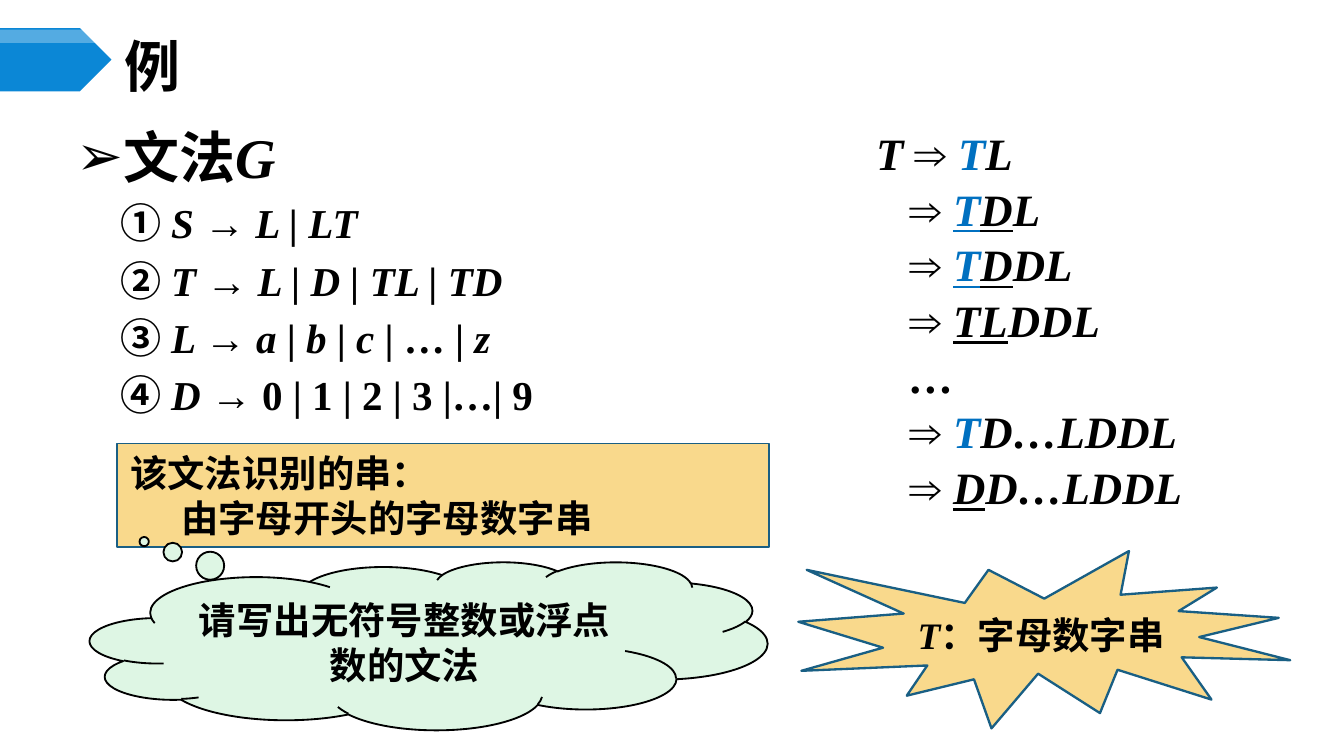
from lxml.etree import SubElement
from pptx import Presentation
from pptx.dml.color import RGBColor
from pptx.enum.shapes import MSO_SHAPE
from pptx.enum.text import MSO_ANCHOR, PP_ALIGN
from pptx.oxml.ns import qn
from pptx.util import Inches, Pt

THEME = {
    "latin": "Times New Roman", "cjk": "Noto Sans CJK SC", "sans": "Arial",
    "ink": "000000", "accent": "0070C0", "white": "FFFFFF",
    "sand": "F9D98C", "mint": "DEF6E4", "arrow": "0B87D6",
    "note_line": "1A5F84", "burst_line": "195F84",
    "heading": 30, "derivation": 24, "rule": 22, "note": 20,
}

CJK = {"name": THEME["cjk"]}
SANS = {"name": THEME["sans"]}
ITALIC = {"italic": True}
BLUE = {"italic": True, "color": THEME["accent"]}
LINED = {"italic": True, "underline": True}
BLUE_LINED = {**BLUE, "underline": True}

TITLE = [("例", {**CJK, "spacing": 300})]
GRAMMAR = [("文法", {}), ("G", ITALIC)]
RULES = [
    [("① ", CJK), ("S → L | LT", ITALIC)],
    [("② ", CJK), ("T → L | D | TL | TD", ITALIC)],
    [("③ ", CJK), ("L → a", ITALIC), (" | ", {}), ("b ", ITALIC), ("| ", {}),
     ("c", ITALIC), (" | … | ", {}), ("z", ITALIC)],
    [("④ ", CJK), ("D → ", ITALIC), ("0 | 1 | 2 | 3 |…| 9", {})],
]
ARROW = ("⇒ ", {})
DERIVATION = [
    [("T", ITALIC), (" ⇒ ", {}), ("T", BLUE), ("L", ITALIC)],
    [ARROW, ("T", BLUE_LINED), ("D", LINED), ("L", ITALIC)],
    [ARROW, ("T", BLUE_LINED), ("D", LINED), ("DL", ITALIC)],
    [ARROW, ("TL", LINED), ("DDL", ITALIC)],
    [("…", ITALIC)],
    [ARROW, ("T", BLUE), ("D…LDDL", ITALIC)],
    [ARROW, ("D", LINED), ("D…LDDL", ITALIC)],
]
NOTE = [[("该文法识别的串：", SANS)], [("由字母开头的字母数字串", SANS)]]
TASK = [("请写出无符号整数或浮点数的文法", CJK)]
BURST = [("T", ITALIC), ("：字母数字串", CJK)]


def set_values(target, values):
    for name, value in values.items():
        setattr(target, name, value)


def place(shape, *lengths):
    left, top, width, height = map(Inches, lengths)
    set_values(shape, {"left": left, "top": top, "width": width, "height": height})


def indent(para, left, hanging=0, bullet=None):
    properties = para._p.get_or_add_pPr()
    properties.set("marL", str(Inches(left)))
    properties.set("indent", str(-Inches(hanging)))
    if bullet:
        SubElement(properties, qn("a:buFont"), typeface=THEME["sans"])
        SubElement(properties, qn("a:buChar"), char=bullet)


def write(para, spans, size, **layout):
    set_values(para, layout)
    for text, style in spans:
        span = para.add_run()
        span.text = text
        values = {"name": THEME["latin"], "size": Pt(size), "bold": True,
                  "italic": False, **style}
        color = values.pop("color", THEME["ink"])
        spacing = values.pop("spacing", None)
        set_values(span.font, values)
        span.font.color.rgb = RGBColor.from_string(color)
        properties = span.font._element
        SubElement(properties, qn("a:ea"), typeface=THEME["cjk"])
        if spacing:
            properties.set("spc", str(spacing))


def add_paragraph(frame, number):
    return frame.add_paragraph() if number else frame.paragraphs[0]


def add_text(page, lengths, wrap=True):
    box = page.shapes.add_textbox(*map(Inches, lengths))
    box.text_frame.word_wrap = wrap
    return box.text_frame


def add_shape(page, kind, lengths, fill, line=None, weight=1, anchor=MSO_ANCHOR.MIDDLE):
    shape = page.shapes.add_shape(kind, *map(Inches, lengths))
    shape.shadow.inherit = False
    shape.fill.solid()
    shape.fill.fore_color.rgb = RGBColor.from_string(fill)
    if line:
        shape.line.color.rgb = RGBColor.from_string(line)
        shape.line.width = Pt(weight)
    else:
        shape.line.fill.background()
    set_values(shape.text_frame, {"word_wrap": True, "vertical_anchor": anchor})
    return shape


deck = Presentation()
set_values(deck, {"slide_width": Inches(10), "slide_height": Inches(10) * 9 // 16})
page = deck.slides.add_slide(deck.slide_layouts[5])

note = add_shape(page, MSO_SHAPE.RECTANGLE, (0.87, 3.3, 4.85, 0.77),
                 THEME["sand"], THEME["note_line"], anchor=MSO_ANCHOR.TOP)
for number, spans in enumerate(NOTE):
    para = add_paragraph(note.text_frame, number)
    indent(para, 0.38 * number)
    write(para, spans, THEME["note"], alignment=PP_ALIGN.LEFT)

grammar = add_text(page, (0.47, 0.86, 6.48, 2.44))
for number, spans in enumerate([GRAMMAR, *RULES]):
    para = add_paragraph(grammar, number)
    if number:
        indent(para, 0.33)
    else:
        indent(para, 0.35, 0.35, "➢")
    write(para, spans, THEME["rule" if number else "heading"],
          space_before=Pt(4.4 if number else 0))

title = page.shapes.title
place(title, 0.83, 0.29, 8.67, 0.39)
set_values(title.text_frame, {"vertical_anchor": MSO_ANCHOR.MIDDLE, "word_wrap": True})
write(title.text_frame.paragraphs[0], TITLE, THEME["heading"], alignment=PP_ALIGN.LEFT)

cloud = add_shape(page, MSO_SHAPE.CLOUD_CALLOUT, (0.67, 4.18, 5.04, 1.25),
                  THEME["mint"], THEME["ink"])
cloud.adjustments[0], cloud.adjustments[1] = -0.42, -0.62
write(cloud.text_frame.paragraphs[0], TASK, THEME["note"], alignment=PP_ALIGN.CENTER)

add_shape(page, MSO_SHAPE.PENTAGON, (0, 0.21, 0.83, 0.47), THEME["arrow"])
gloss = add_shape(page, MSO_SHAPE.PENTAGON, (0, 0.22, 0.83, 0.1), THEME["white"])
color = gloss.fill._xPr.find(qn("a:solidFill"))[0]
SubElement(color, qn("a:alpha"), val="30000")

derivation = add_text(page, (6.42, 0.94, 2.59, 3.04), wrap=False)
for number, spans in enumerate(DERIVATION):
    para = add_paragraph(derivation, number)
    indent(para, 0.25 if number else 0)
    write(para, spans, THEME["derivation"], line_spacing=Pt(25),
          space_before=Pt(4.8 if number else 0))

burst = add_shape(page, MSO_SHAPE.EXPLOSION1, (5.94, 4.1, 3.66, 1.32),
                  THEME["sand"], THEME["burst_line"], 1.25)
write(burst.text_frame.paragraphs[0], BURST, THEME["note"], alignment=PP_ALIGN.CENTER)

deck.save("out.pptx")
